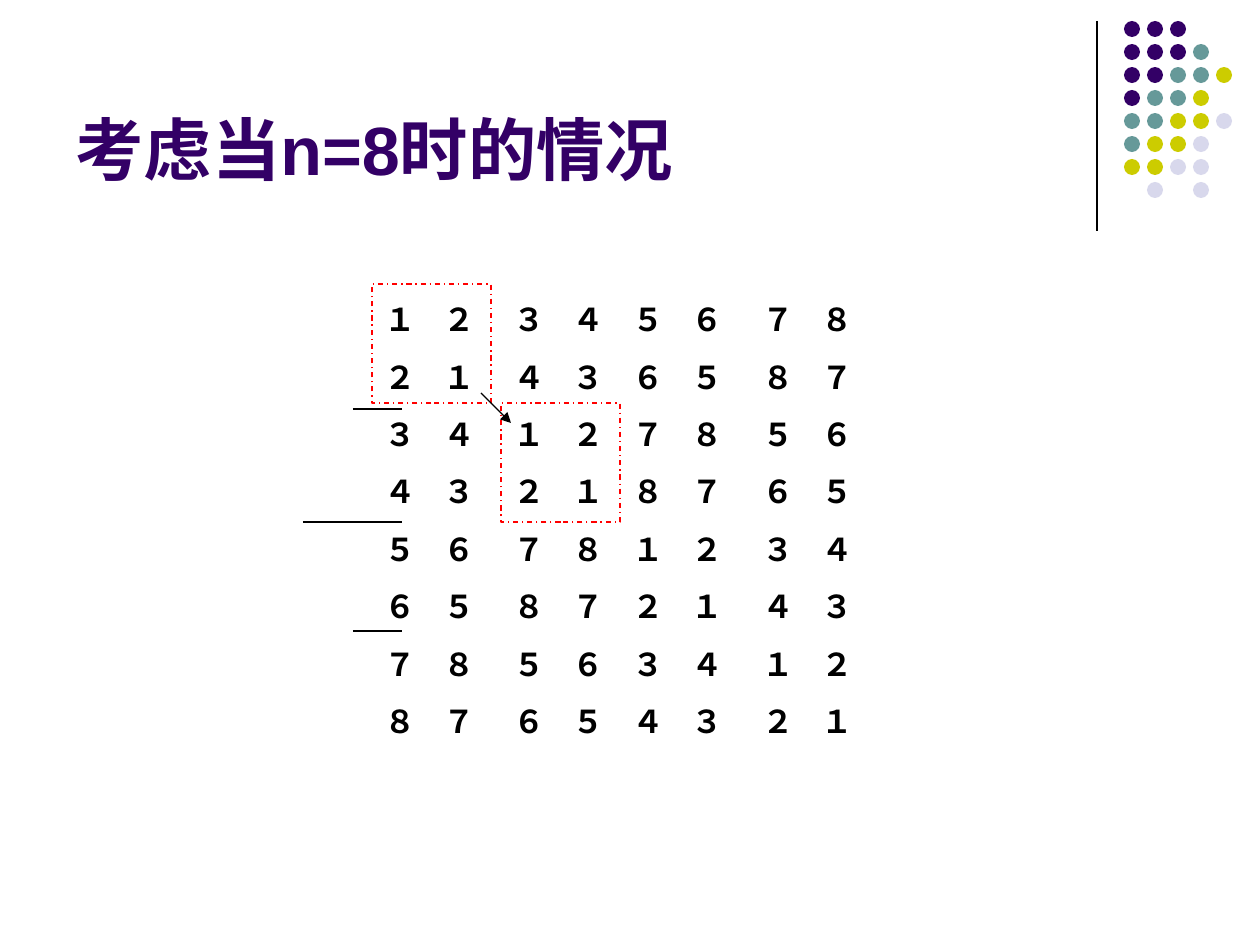
import pptx
import pptx.util
import pptx.dml.color
import pptx.enum.dml
import pptx.enum.shapes
import pptx.enum.text
import pptx.oxml.ns
from lxml import etree

PX = 914400 / 126  # EMU in one px
DIGITS = "１２３４５６７８"
DOT_COLORS = {"p": "330066", "t": "669999", "y": "CCCC00", "l": "D8D8EC"}
DOT_ROWS = ["ppp", "pppt", "pptty", "ptty", "ttyyl", "tyyl", "yyll", " l l"]


def px(length):
    return pptx.util.Emu(round(length * PX))


def color(hex_string):
    return pptx.dml.color.RGBColor.from_string(hex_string)


def write(shape, lines, size=18, ink="000000", bold=True, gap=0,
          anchor=pptx.enum.text.MSO_ANCHOR.TOP,
          fit=pptx.enum.text.MSO_AUTO_SIZE.NONE):
    frame = shape.text_frame
    frame.word_wrap = True
    frame.auto_size = fit
    frame.vertical_anchor = anchor
    for index, line in enumerate(lines):
        paragraph = frame.paragraphs[0] if index == 0 else frame.add_paragraph()
        paragraph.alignment = pptx.enum.text.PP_ALIGN.LEFT
        paragraph.space_before = pptx.util.Pt(gap if index else 0)
        run = paragraph.add_run()
        run.text = line
        run.font.name = "Arial"
        run.font.size = pptx.util.Pt(size)
        run.font.bold = bold
        run.font.color.rgb = color(ink)


def add_line(slide, x1, y1, x2, y2, arrow=False):
    line = slide.shapes.add_connector(
        pptx.enum.shapes.MSO_CONNECTOR.STRAIGHT, px(x1), px(y1), px(x2), px(y2))
    line.line.color.rgb = color("000000")
    line.line.width = pptx.util.Pt(0.75)
    if arrow:
        etree.SubElement(line.line._get_or_add_ln(),
                         pptx.oxml.ns.qn("a:tailEnd"), type="triangle")
    etree.SubElement(line._element.spPr, pptx.oxml.ns.qn("a:effectLst"))


def add_ornament(slide, left, top):
    """Vertical rule with a pattern of dots to its right."""
    pitch, diameter = 23, 16
    add_line(slide, left, top, left, top + 210)
    for row, codes in enumerate(DOT_ROWS):
        for column, code in enumerate(codes):
            if code == " ":
                continue
            dot = slide.shapes.add_shape(
                pptx.enum.shapes.MSO_SHAPE.OVAL,
                px(left + 27 + column * pitch), px(top + row * pitch),
                px(diameter), px(diameter))
            dot.shadow.inherit = False
            dot.fill.solid()
            dot.fill.fore_color.rgb = color(DOT_COLORS[code])
            dot.line.fill.background()


def add_title(slide, left, top, width, height):
    title = slide.shapes.title
    title.left, title.top = px(left), px(top)
    title.width, title.height = px(width), px(height)
    write(title, ["考虑当n=8时的情况"], size=39, ink="330066",
          anchor=pptx.enum.text.MSO_ANCHOR.BOTTOM)


def add_schedule(slide, left, top):
    """Eight columns in pairs; each entry is row XOR column."""
    pair_offsets = [0, 129, 248, 378]
    for column in range(8):
        x = left + pair_offsets[column // 2] + column % 2 * 59.5
        opponents = slide.shapes.add_textbox(px(x), px(top), px(59), px(453))
        write(opponents, [DIGITS[row ^ column] for row in range(8)], gap=11.2,
              fit=pptx.enum.text.MSO_AUTO_SIZE.SHAPE_TO_FIT_TEXT)

    # Dividers between the groups of rows
    for length, drop in [(49, 115), (99, 228), (49, 337)]:
        add_line(slide, left + 30 - length, top + drop, left + 30, top + drop)


def add_block_copy(slide, left, top):
    """Dashed frames on two equal blocks, joined by an arrow."""
    side = 119
    for dx, dy in [(0, 0), (129, side)]:
        block = slide.shapes.add_shape(
            pptx.enum.shapes.MSO_SHAPE.RECTANGLE,
            px(left + dx), px(top + dy), px(side), px(side))
        block.shadow.inherit = False
        block.fill.background()
        block.line.color.rgb = color("FF0000")
        block.line.width = pptx.util.Pt(0.75)
        block.line.dash_style = pptx.enum.dml.MSO_LINE.DASH_DOT
    add_line(slide, left + 109, top + 109, left + 139, top + 139, arrow=True)


def main():
    deck = pptx.Presentation()
    deck.slide_width, deck.slide_height = px(1260), px(945)
    slide = deck.slides.add_slide(deck.slide_layouts[5])  # Title Only
    add_ornament(slide, 1097, 21)
    add_title(slide, 63, 16, 1040, 179)
    add_schedule(slide, 372, 294)
    add_block_copy(slide, 372, 284)
    deck.save("out.pptx")


if __name__ == "__main__":
    main()
